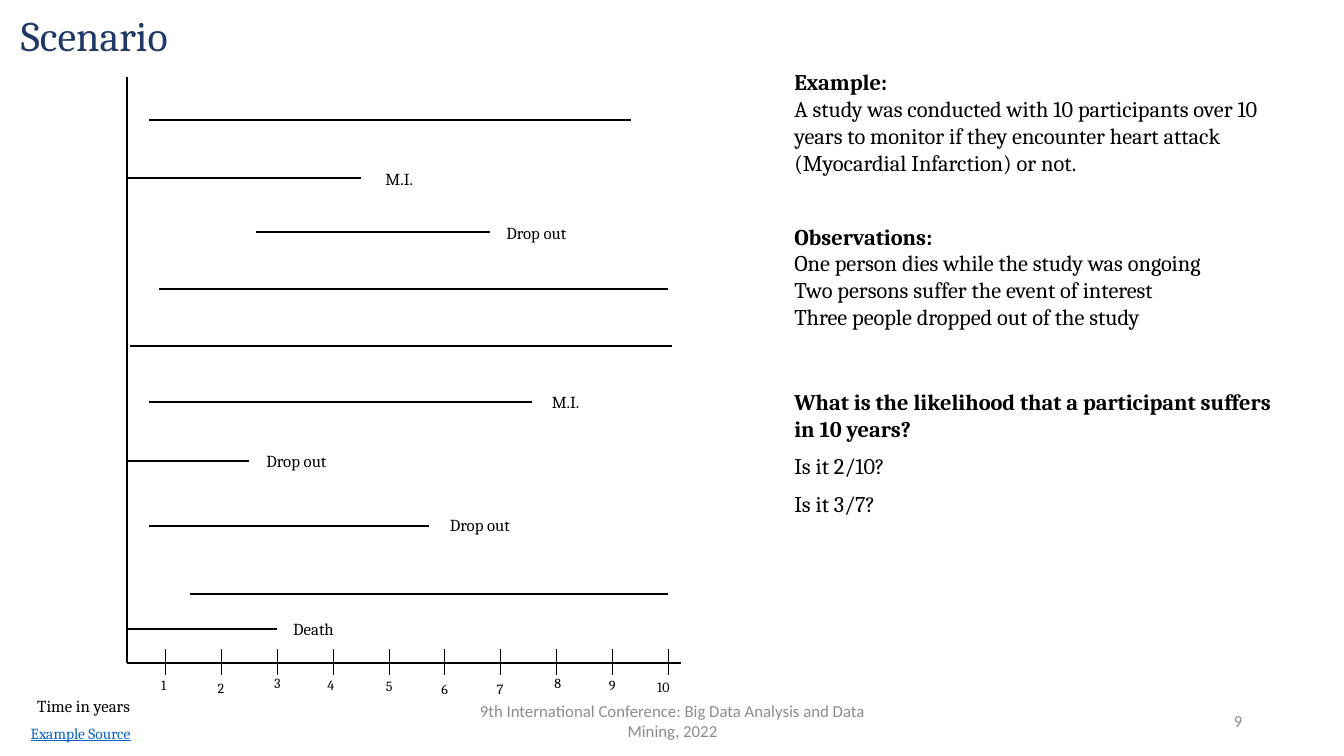
from typing import NamedTuple

from lxml.etree import SubElement
from pptx import Presentation
from pptx.dml.color import RGBColor
from pptx.enum.shapes import MSO_CONNECTOR
from pptx.enum.text import MSO_ANCHOR, PP_ALIGN
from pptx.oxml.ns import qn
from pptx.slide import Slide
from pptx.util import Inches, Pt

BLACK = RGBColor(0x00, 0x00, 0x00)
NAVY = RGBColor(0x20, 0x38, 0x64)
GRAY = RGBColor(0x8C, 0x8C, 0x8C)
LINK_BLUE = RGBColor(0x05, 0x63, 0xC1)

AXIS_LEFT, AXIS_RIGHT = 1.26, 6.75
AXIS_TOP, AXIS_BOTTOM = 0.76, 6.58
FIRST_TICK, TICK_STEP = 1.64, 0.5544
TICK_TOP, TICK_LENGTH = 6.44, 0.26
NOTES_LEFT, NOTES_WIDTH = 7.78, 5.13


class Style(NamedTuple):
    size: float
    color: RGBColor = BLACK
    font: str = "Cambria"
    align: PP_ALIGN = PP_ALIGN.LEFT
    anchor: MSO_ANCHOR = MSO_ANCHOR.TOP
    underline: bool = False
    line_spacing: float = 1.0


class Box(NamedTuple):
    left: float
    top: float
    width: float
    height: float


class Participant(NamedTuple):
    start: float
    end: float
    y: float
    outcome: str = ""
    label_left: float = 0
    label_top: float = 0


class Note(NamedTuple):
    top: float
    height: float
    heading: str = ""
    lines: tuple[str, ...] = ()


TITLE = Style(30, NAVY, line_spacing=0.9)
LABEL = Style(12, align=PP_ALIGN.CENTER)
TICK_LABEL = Style(10)
NOTE = Style(16)
LINK = Style(11, LINK_BLUE, align=PP_ALIGN.CENTER, underline=True)
FOOTER = Style(12, GRAY, "Calibri", PP_ALIGN.CENTER, MSO_ANCHOR.MIDDLE)
PAGE_NUMBER = FOOTER._replace(align=PP_ALIGN.RIGHT)

PARTICIPANTS = [
    Participant(1.48, 6.26, 1.19),
    Participant(1.26, 3.58, 1.77, "M.I.", 3.31, 1.62),
    Participant(2.54, 4.86, 2.30, "Drop out", 4.67, 2.16),
    Participant(1.58, 6.63, 2.87),
    Participant(1.29, 6.67, 3.43),
    Participant(1.48, 5.28, 3.99, "M.I.", 4.96, 3.84),
    Participant(1.26, 2.47, 4.57, "Drop out", 2.29, 4.42),
    Participant(1.48, 4.25, 5.22, "Drop out", 4.11, 5.06),
    Participant(1.88, 6.63, 5.89),
    Participant(1.26, 2.75, 6.24, "Death", 2.46, 6.09),
]

# Left and top of each year label
YEAR_LABELS = [
    (1.50, 6.66), (2.06, 6.69), (2.62, 6.64), (3.15, 6.66), (3.73, 6.67),
    (4.28, 6.70), (4.83, 6.70), (5.40, 6.64), (5.94, 6.66), (6.42, 6.68),
]

NOTES = [
    Note(0.63, 1.21, "Example:", (
        "A study was conducted with 10 participants over 10 years to monitor "
        "if they encounter heart attack (Myocardial Infarction) or not.",
    )),
    Note(2.16, 1.18, "Observations:", (
        "One person dies while the study was ongoing",
        "Two persons suffer the event of interest",
        "Three people dropped out of the study",
    )),
    Note(3.80, 0.64,
         "What is the likelihood that a participant suffers in 10 years?"),
    Note(4.44, 0.37, lines=("Is it 2/10?",)),
    Note(4.81, 0.37, lines=("Is it 3/7?",)),
]


def add_line(slide: Slide, x1: float, y1: float, x2: float, y2: float,
             weight: float = 1.5) -> None:
    connector = slide.shapes.add_connector(
        MSO_CONNECTOR.STRAIGHT, Inches(x1), Inches(y1), Inches(x2), Inches(y2))
    connector.line.color.rgb = BLACK
    connector.line.width = Pt(weight)
    SubElement(connector.element.spPr, qn("a:effectLst"))


def add_text(slide: Slide, box: Box, style: Style, *lines: str,
             heading: str = "") -> None:
    """Add a text box with an optional bold heading above its lines."""
    shape = slide.shapes.add_textbox(*(Inches(length) for length in box))
    frame = shape.text_frame
    frame.word_wrap = True
    frame.vertical_anchor = style.anchor
    texts = [(heading, True)] if heading else []
    texts += [(line, False) for line in lines]
    for index, (text, bold) in enumerate(texts):
        paragraph = frame.add_paragraph() if index else frame.paragraphs[0]
        paragraph.alignment = style.align
        paragraph.line_spacing = style.line_spacing
        run = paragraph.add_run()
        run.text = text
        run.font.name = style.font
        run.font.size = Pt(style.size)
        run.font.bold = bold
        run.font.underline = style.underline
        run.font.color.rgb = style.color


def add_timeline(slide: Slide) -> None:
    # Axes
    add_line(slide, AXIS_LEFT, AXIS_TOP, AXIS_LEFT, AXIS_BOTTOM)
    add_line(slide, AXIS_LEFT, AXIS_BOTTOM, AXIS_RIGHT, AXIS_BOTTOM)

    # Year ticks
    for index, (left, top) in enumerate(YEAR_LABELS):
        x = FIRST_TICK + index * TICK_STEP
        add_line(slide, x, TICK_TOP, x, TICK_TOP + TICK_LENGTH, 0.5)
        year = str(index + 1)
        width = 0.26 if len(year) == 1 else 0.42
        add_text(slide, Box(left, top, width, 0.27), TICK_LABEL, year)
    add_text(slide, Box(0.18, 6.85, 1.3, 0.3), LABEL, "Time in years")

    # Time under observation
    for person in PARTICIPANTS:
        add_line(slide, person.start, person.y, person.end, person.y)
        if person.outcome:
            box = Box(person.label_left, person.label_top, 1.3, 0.3)
            add_text(slide, box, LABEL, person.outcome)


def main() -> None:
    presentation = Presentation()
    presentation.slide_width = Inches(13.33)
    presentation.slide_height = Inches(7.5)
    slide = presentation.slides.add_slide(presentation.slide_layouts[6])

    add_text(slide, Box(0.11, 0.1, 11.5, 1.45), TITLE, "Scenario")
    add_timeline(slide)

    # Study notes
    for note in NOTES:
        box = Box(NOTES_LEFT, note.top, NOTES_WIDTH, note.height)
        add_text(slide, box, NOTE, *note.lines, heading=note.heading)

    # Source and footer
    add_text(slide, Box(0.06, 7.13, 1.48, 0.29), LINK, "Example Source")
    add_text(slide, Box(4.42, 6.95, 4.5, 0.4), FOOTER,
             "9th International Conference: Big Data Analysis and Data Mining, 2022")
    add_text(slide, Box(9.42, 6.95, 3, 0.4), PAGE_NUMBER, "9")

    presentation.save("out.pptx")


if __name__ == "__main__":
    main()
